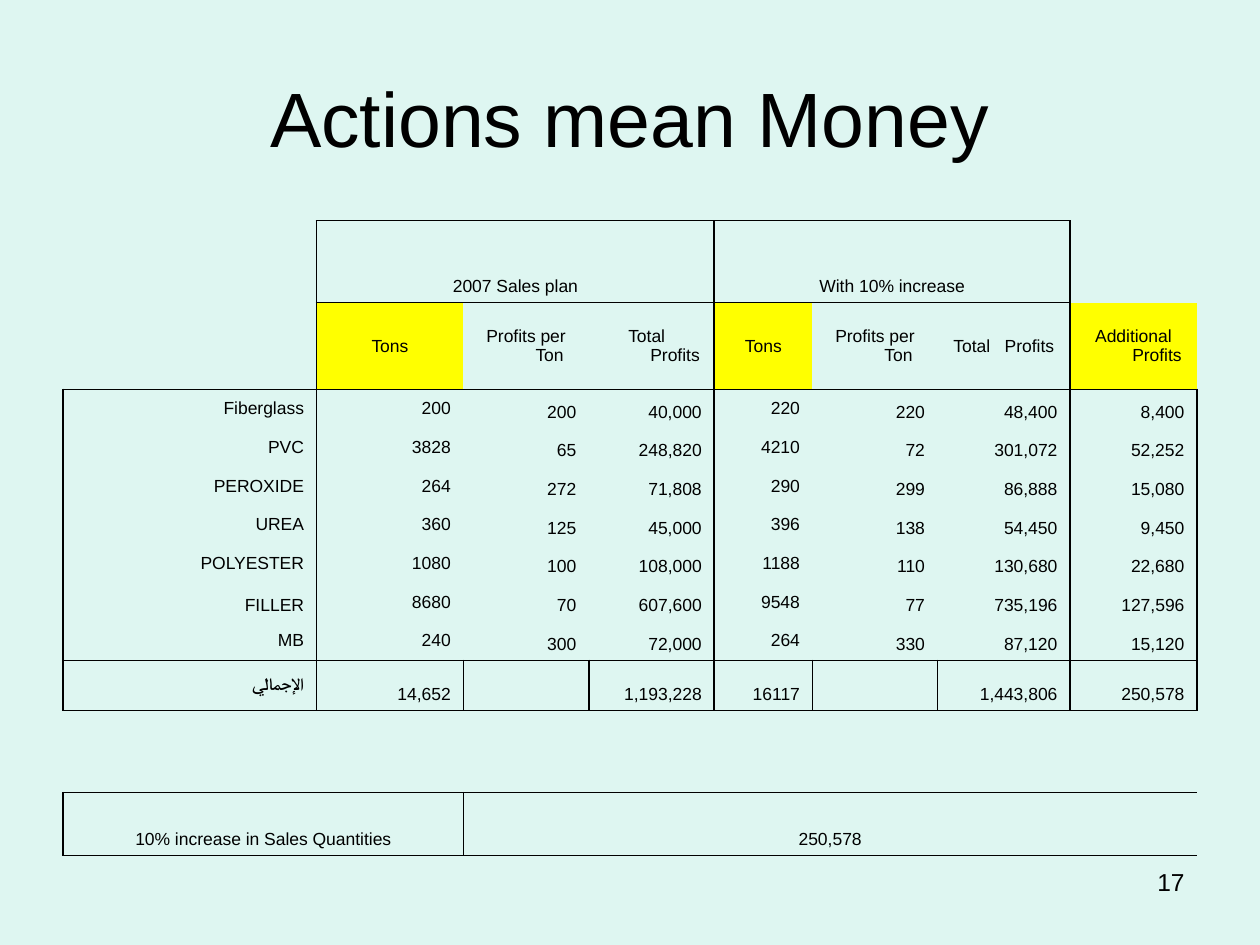
from itertools import product

from lxml import etree
from pptx import Presentation
from pptx.dml.color import RGBColor
from pptx.enum import text as t
from pptx.oxml import ns
from pptx.util import Cm, Pt

COLORS = {"background": "DEF6F1", "ink": "000000", "highlight": "FFFF00"}
FONT = "Arial"
NO_GRID_STYLE = "{2D5ABB26-0587-4C30-8999-92F81FD0307C}"
LEFT, CENTER, RIGHT = t.PP_ALIGN.LEFT, t.PP_ALIGN.CENTER, t.PP_ALIGN.RIGHT
TOP, MIDDLE, BOTTOM = t.MSO_ANCHOR.TOP, t.MSO_ANCHOR.MIDDLE, t.MSO_ANCHOR.BOTTOM

COLUMN_WIDTHS = [5.11, 2.96, 2.53, 2.53, 1.98, 2.52, 2.67, 2.56]
ROW_HEIGHTS = [1.65, 1.75] + [0.78] * 7 + [0.98, 1.65, 1.27]
GROUP_ROW, HEADER_ROW, FIRST_ITEM, TOTAL_ROW, SUMMARY_ROW = 0, 1, 2, 9, 11

PLAN_HEADERS = ["Tons", "Profits per Ton", "Total   Profits"]
HEADERS = PLAN_HEADERS * 2 + ["Additional Profits"]
HIGHLIGHTED_COLUMNS = (1, 4, 7)
MIDDLE_COLUMNS = (0, 1, 4)
ITEMS = [
    ["Fiberglass", "200", "200", "40,000", "220", "220", "48,400", "8,400"],
    ["PVC", "3828", "65", "248,820", "4210", "72", "301,072", "52,252"],
    ["PEROXIDE", "264", "272", "71,808", "290", "299", "86,888", "15,080"],
    ["UREA", "360", "125", "45,000", "396", "138", "54,450", "9,450"],
    ["POLYESTER", "1080", "100", "108,000", "1188", "110", "130,680", "22,680"],
    ["FILLER", "8680", "70", "607,600", "9548", "77", "735,196", "127,596"],
    ["MB", "240", "300", "72,000", "264", "330", "87,120", "15,120"],
]
TOTALS = ["الإجمالي", "14,652", "", "1,193,228", "16117", "", "1,443,806", "250,578"]

# Outlined blocks: first row, last row, first column, last column
BLOCKS = [(row, row, first, first + 2)
          for row in (GROUP_ROW, HEADER_ROW) for first in (1, 4)]
BLOCKS += [(FIRST_ITEM, TOTAL_ROW - 1, *columns)
           for columns in ((0, 0), (1, 3), (4, 6), (7, 7))]
BLOCKS += [(TOTAL_ROW, TOTAL_ROW, column, column) for column in range(8)]
BLOCKS += [(SUMMARY_ROW, SUMMARY_ROW, 0, 1), (SUMMARY_ROW, SUMMARY_ROW, 2, 7)]


def style_paragraph(paragraph, size, align, bold=False):
    paragraph.alignment = align
    for run in paragraph.runs:
        run.font.name = FONT
        run.font.size = Pt(size)
        run.font.bold = bold
        run.font.color.rgb = RGBColor.from_string(COLORS["ink"])


def add_text(slide, box, wording, size, align, anchor):
    frame = slide.shapes.add_textbox(*map(Cm, box)).text_frame
    frame.word_wrap = True
    frame.vertical_anchor = anchor
    frame.text = wording
    style_paragraph(frame.paragraphs[0], size, align)


def write_cell(cell, wording, align, anchor, bold=False):
    """Fill a cell with 10 pt text that has a hanging indent."""
    cell.vertical_anchor = anchor
    if not wording:
        return
    cell.text_frame.text = wording
    paragraph = cell.text_frame.paragraphs[0]
    properties = paragraph._p.get_or_add_pPr()
    properties.set("marL", str(Cm(0.95)))
    properties.set("indent", str(-Cm(0.95)))
    style_paragraph(paragraph, 10, align, bold)


def block_edges():
    """Return the horizontal and vertical grid edges that carry a line."""
    across, down = set(), set()
    for top, bottom, left, right in BLOCKS:
        across |= set(product((top, bottom + 1), range(left, right + 1)))
        down |= set(product(range(top, bottom + 1), (left, right + 1)))
    return across, down


def set_border(cell, side, visible):
    line = etree.SubElement(cell._tc.get_or_add_tcPr(), ns.qn(f"a:ln{side}"), w=str(Pt(1)))
    if visible:
        fill = etree.SubElement(line, ns.qn("a:solidFill"))
        etree.SubElement(fill, ns.qn("a:srgbClr"), val=COLORS["ink"])
    else:
        etree.SubElement(line, ns.qn("a:noFill"))


def format_cells(table):
    across, down = block_edges()
    for row, column in product(range(len(ROW_HEIGHTS)), range(len(COLUMN_WIDTHS))):
        cell = table.cell(row, column)
        set_border(cell, "L", (row, column) in down)
        set_border(cell, "R", (row, column + 1) in down)
        set_border(cell, "T", (row, column) in across)
        set_border(cell, "B", (row + 1, column) in across)
        if row == HEADER_ROW and column in HIGHLIGHTED_COLUMNS:
            cell.fill.solid()
            cell.fill.fore_color.rgb = RGBColor.from_string(COLORS["highlight"])
        else:
            cell.fill.background()


def write_merged(table, row, first, last, wording):
    cell = table.cell(row, first)
    cell.merge(table.cell(row, last))
    write_cell(cell, wording, CENTER, BOTTOM)


def add_profit_table(slide):
    frame = slide.shapes.add_table(
        len(ROW_HEIGHTS), len(COLUMN_WIDTHS), Cm(1.27), Cm(4.45),
        Cm(sum(COLUMN_WIDTHS)), Cm(sum(ROW_HEIGHTS)))
    table = frame.table
    table.first_row = table.horz_banding = False
    table._tbl.tblPr.find(ns.qn("a:tableStyleId")).text = NO_GRID_STYLE
    for column, width in zip(table.columns, COLUMN_WIDTHS):
        column.width = Cm(width)
    for row, height in zip(table.rows, ROW_HEIGHTS):
        row.height = Cm(height)
    format_cells(table)

    write_merged(table, GROUP_ROW, 1, 3, "2007 Sales plan")
    write_merged(table, GROUP_ROW, 4, 6, "With 10% increase")
    for column, header in enumerate(HEADERS, 1):
        write_cell(table.cell(HEADER_ROW, column), header, CENTER, MIDDLE)
    for row, item in enumerate(ITEMS, FIRST_ITEM):
        for column, value in enumerate(item):
            centred = column in MIDDLE_COLUMNS and value != "FILLER"
            write_cell(table.cell(row, column), value, RIGHT, MIDDLE if centred else BOTTOM)
    for column, total in enumerate(TOTALS):
        is_label = column == 0
        write_cell(table.cell(TOTAL_ROW, column), total, RIGHT,
                   MIDDLE if is_label else BOTTOM, bold=is_label)
    write_merged(table, SUMMARY_ROW, 0, 1, "10% increase in Sales Quantities")
    write_merged(table, SUMMARY_ROW, 2, 7, TOTALS[-1])


def main():
    deck = Presentation()
    deck.slide_width, deck.slide_height = Cm(25.4), Cm(19.05)
    slide = deck.slides.add_slide(deck.slide_layouts[6])
    background = slide.background.fill
    background.solid()
    background.fore_color.rgb = RGBColor.from_string(COLORS["background"])
    add_text(slide, (18.21, 17.35, 5.92, 1.32), "17", 14, RIGHT, TOP)
    add_text(slide, (1.27, 0.76, 22.86, 3.18), "Actions mean Money", 44, CENTER, MIDDLE)
    add_profit_table(slide)
    deck.save("out.pptx")


if __name__ == "__main__":
    main()
